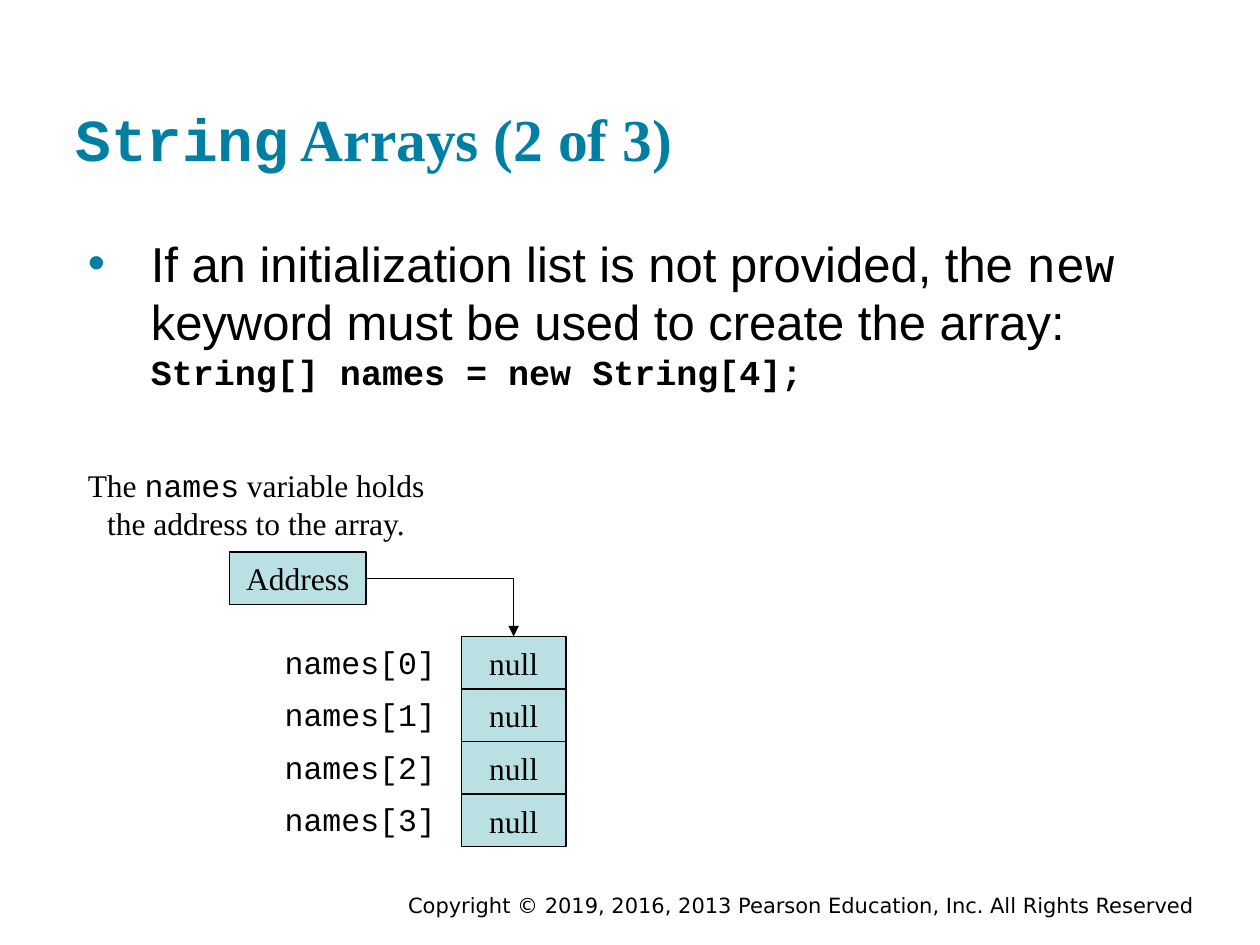
from lxml import etree
from pptx import Presentation
from pptx.dml.color import RGBColor
from pptx.enum.shapes import MSO_CONNECTOR, MSO_SHAPE
from pptx.enum.text import MSO_ANCHOR, MSO_AUTO_SIZE, PP_ALIGN
from pptx.oxml.ns import qn
from pptx.util import Cm, Pt

RECTANGLE = MSO_SHAPE.RECTANGLE
ELBOW = MSO_CONNECTOR.ELBOW
TOP, MIDDLE, BOTTOM = MSO_ANCHOR.TOP, MSO_ANCHOR.MIDDLE, MSO_ANCHOR.BOTTOM
LEFT, CENTER, RIGHT = PP_ALIGN.LEFT, PP_ALIGN.CENTER, PP_ALIGN.RIGHT
NO_AUTOFIT = MSO_AUTO_SIZE.NONE

BLACK = RGBColor(0x00, 0x00, 0x00)
TEAL = RGBColor(0x00, 0x7F, 0xA3)
PALE_BLUE = RGBColor(0xBB, 0xE0, 0xE3)

SERIF, SANS, MONO = "Times New Roman", "Arial", "Courier New"
ROW_HEIGHT = 1.06


def write(paragraph, runs, size, color=BLACK, align=LEFT, bold=False):
    """Fill a paragraph with (text, font name) runs."""
    paragraph.alignment = align
    paragraph.font.size = Pt(size)
    paragraph.font.color.rgb = color
    paragraph.font.bold = bold
    if len(runs) == 1:
        paragraph.font.name = runs[0][1]
    for text, font_name in runs:
        run = paragraph.add_run()
        run.text = text
        if len(runs) > 1:
            run.font.name = font_name


def add_box(left, top, width, text):
    """Add a filled memory cell with centred text."""
    box = slide.shapes.add_shape(RECTANGLE, Cm(left), Cm(top), Cm(width), Cm(ROW_HEIGHT))
    box.shadow.inherit = False
    box.fill.solid()
    box.fill.fore_color.rgb = PALE_BLUE
    box.line.color.rgb = BLACK
    box.line.width = Pt(0.75)
    box.text_frame.word_wrap = False
    box.text_frame.vertical_anchor = MIDDLE
    write(box.text_frame.paragraphs[0], [(text, SERIF)], 18, align=CENTER)
    return box


presentation = Presentation()
presentation.slide_width = Cm(25.4)
presentation.slide_height = Cm(19.05)
slide = presentation.slides.add_slide(presentation.slide_layouts[1])

# Title and body placeholders
title, body = slide.shapes.title, slide.placeholders[1]
for placeholder, top, height, anchor in ((title, 0.69, 3.05, BOTTOM), (body, 4.45, 12.57, TOP)):
    placeholder.left, placeholder.top = Cm(1.27), Cm(top)
    placeholder.width, placeholder.height = Cm(22.86), Cm(height)
    frame = placeholder.text_frame
    frame.auto_size = NO_AUTOFIT
    frame.vertical_anchor = anchor
    frame.margin_left = frame.margin_right = Cm(0.25)
    frame.margin_top = frame.margin_bottom = Cm(0.25)

write(title.text_frame.paragraphs[0],
      [("String", MONO), (" Arrays (2 of 3)", SERIF)], 34, TEAL, bold=True)

# Bulleted statement with its line of code
statement = body.text_frame.paragraphs[0]
statement.space_before = Pt(0)
properties = statement._p.get_or_add_pPr()
properties.set("marL", str(Cm(1.52)))
properties.set("indent", str(Cm(-1.27)))
bullet_color = etree.SubElement(properties, qn("a:buClr"))
etree.SubElement(bullet_color, qn("a:srgbClr"), val=str(TEAL))
etree.SubElement(properties, qn("a:buFont"), typeface=SANS)
etree.SubElement(properties, qn("a:buChar"), char="•")
write(statement, [("If an initialization list is not provided, the ", SANS), ("new", MONO),
                  (" keyword must be used to create the array: ", SANS)], 28)
statement.add_line_break()
code = statement.add_run()
code.text = "String[] names = new String[4];"
code.font.name = MONO
code.font.size = Pt(20)
code.font.bold = True

# Caption above the reference variable
caption = slide.shapes.add_textbox(Cm(1.52), Cm(9.27), Cm(7.29), Cm(1.78)).text_frame
caption.word_wrap = False
write(caption.paragraphs[0],
      [("The ", SERIF), ("names", MONO), (" variable holds", SERIF)], 18, align=CENTER)
write(caption.add_paragraph(), [("the address to the array.", SERIF)], 18, align=CENTER)

# Reference variable and array elements
address = add_box(4.63, 11.13, 2.75, "Address")
elements = []
for index in range(4):
    top = 12.83 + index * ROW_HEIGHT
    elements.append(add_box(9.3, top, 2.11, "null"))
    label = slide.shapes.add_textbox(Cm(5.49), Cm(top), Cm(3.86), Cm(1.02)).text_frame
    label.word_wrap = True
    write(label.paragraphs[0], [(f"names[{index}]", MONO)], 18)

# Arrow from the variable to the first element
arrow = slide.shapes.add_connector(ELBOW, Cm(7.38), Cm(11.66), Cm(10.35), Cm(12.83))
arrow.begin_connect(address, 3)
arrow.end_connect(elements[0], 0)
arrow.line.color.rgb = BLACK
arrow.line.width = Pt(0.75)
arrow_properties = arrow._element.spPr
arrow_properties.find(qn("a:prstGeom")).set("prst", "bentConnector2")
etree.SubElement(arrow.line._get_or_add_ln(), qn("a:tailEnd"), type="triangle")
etree.SubElement(arrow_properties, qn("a:effectLst"))

# Copyright line
footer = slide.shapes.add_textbox(Cm(4.45), Cm(17.86), Cm(19.88), Cm(0.56)).text_frame
footer.word_wrap = True
write(footer.paragraphs[0],
      [("Copyright © 2019, 2016, 2013 Pearson Education, Inc. All Rights Reserved",
        "DejaVu Sans")], 12, align=RIGHT)

presentation.save("out.pptx")
